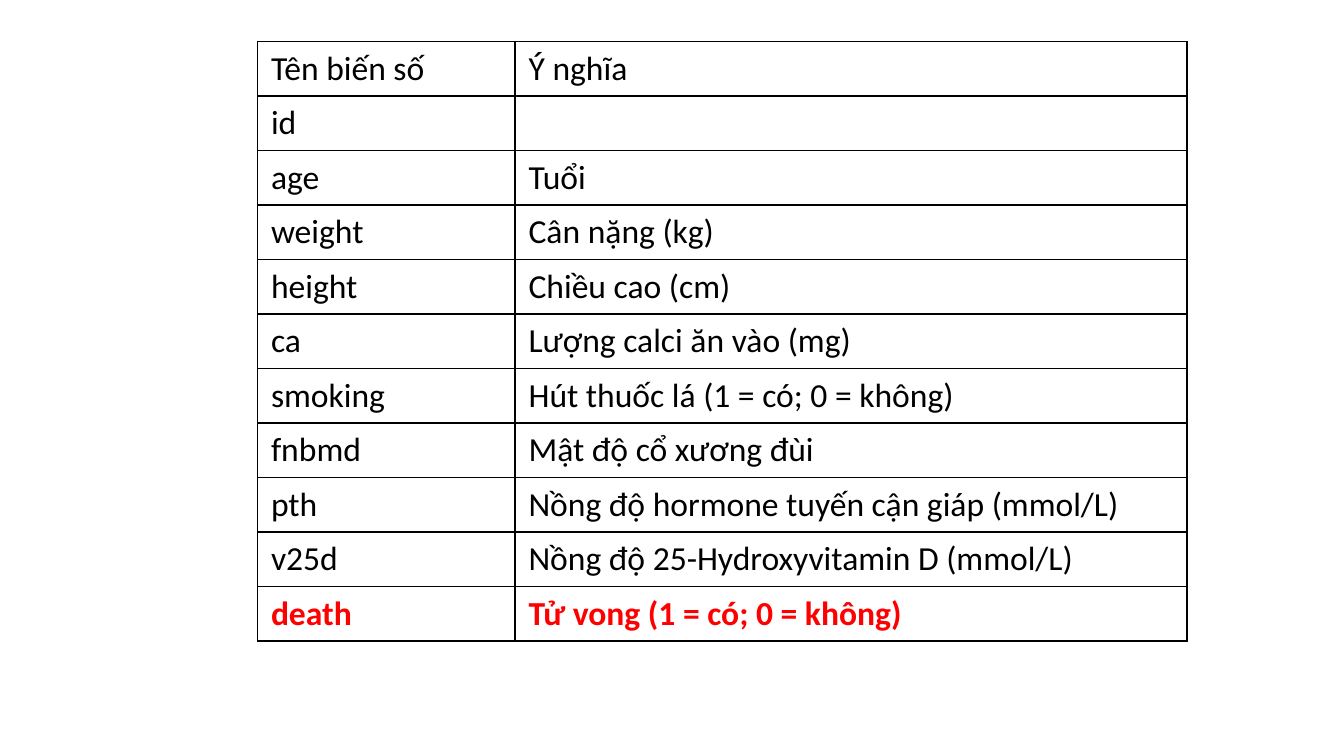
from lxml.etree import SubElement
from pptx import Presentation
from pptx.dml.color import RGBColor
from pptx.oxml.ns import qn
from pptx.util import Pt

VARIABLES = [
    ("Tên biến số", "Ý nghĩa"),
    ("id", ""),
    ("age", "Tuổi"),
    ("weight", "Cân nặng (kg)"),
    ("height", "Chiều cao (cm)"),
    ("ca", "Lượng calci ăn vào (mg)"),
    ("smoking", "Hút thuốc lá (1 = có; 0 = không)"),
    ("fnbmd", "Mật độ cổ xương đùi"),
    ("pth", "Nồng độ hormone tuyến cận giáp (mmol/L)"),
    ("v25d", "Nồng độ 25-Hydroxyvitamin D\u00a0(mmol/L)"),
    ("death", "Tử vong (1 = có; 0 = không)"),
]
OUTCOME = "death"
BLACK, RED = "000000", "FF0000"
LEFT, TOP = 138, 22.3
COLUMN_WIDTHS = (138, 360)
ROW_HEIGHT = 29.2


def color(hex_code):
    """Turn a hex string into a colour."""
    return RGBColor.from_string(hex_code)


def add_borders(cell, hex_code, width):
    """Draw a solid line on all four sides of a cell."""
    properties = cell._tc.get_or_add_tcPr()
    for side in ("lnL", "lnR", "lnT", "lnB"):
        line = SubElement(properties, qn(f"a:{side}"), w=str(Pt(width)))
        fill = SubElement(line, qn("a:solidFill"))
        SubElement(fill, qn("a:srgbClr"), val=hex_code)


def write_cell(cell, words, is_outcome):
    """Style a cell and write its words, the outcome in bold red."""
    add_borders(cell, BLACK, 1)
    cell.fill.background()
    paragraph = cell.text_frame.paragraphs[0]
    paragraph.font.size = Pt(18)
    if words:
        run = paragraph.add_run()
        run.text = words
        run.font.name = "Calibri"
        run.font.size = Pt(18)
        run.font.bold = is_outcome
        run.font.color.rgb = color(RED if is_outcome else BLACK)


def add_codebook(slide):
    """Add the table of variable names and meanings."""
    codebook = slide.shapes.add_table(
        len(VARIABLES), len(COLUMN_WIDTHS), Pt(LEFT), Pt(TOP),
        Pt(sum(COLUMN_WIDTHS)), Pt(ROW_HEIGHT * len(VARIABLES))).table
    codebook.first_row = codebook.horz_banding = False
    for column, width in zip(codebook.columns, COLUMN_WIDTHS):
        column.width = Pt(width)
    for row, variable in zip(codebook.rows, VARIABLES):
        row.height = Pt(ROW_HEIGHT)
        for cell, words in zip(row.cells, variable):
            write_cell(cell, words, variable[0] == OUTCOME)


deck = Presentation()
deck.slide_width, deck.slide_height = Pt(720), Pt(405)
add_codebook(deck.slides.add_slide(deck.slide_layouts[6]))
deck.save("out.pptx")
